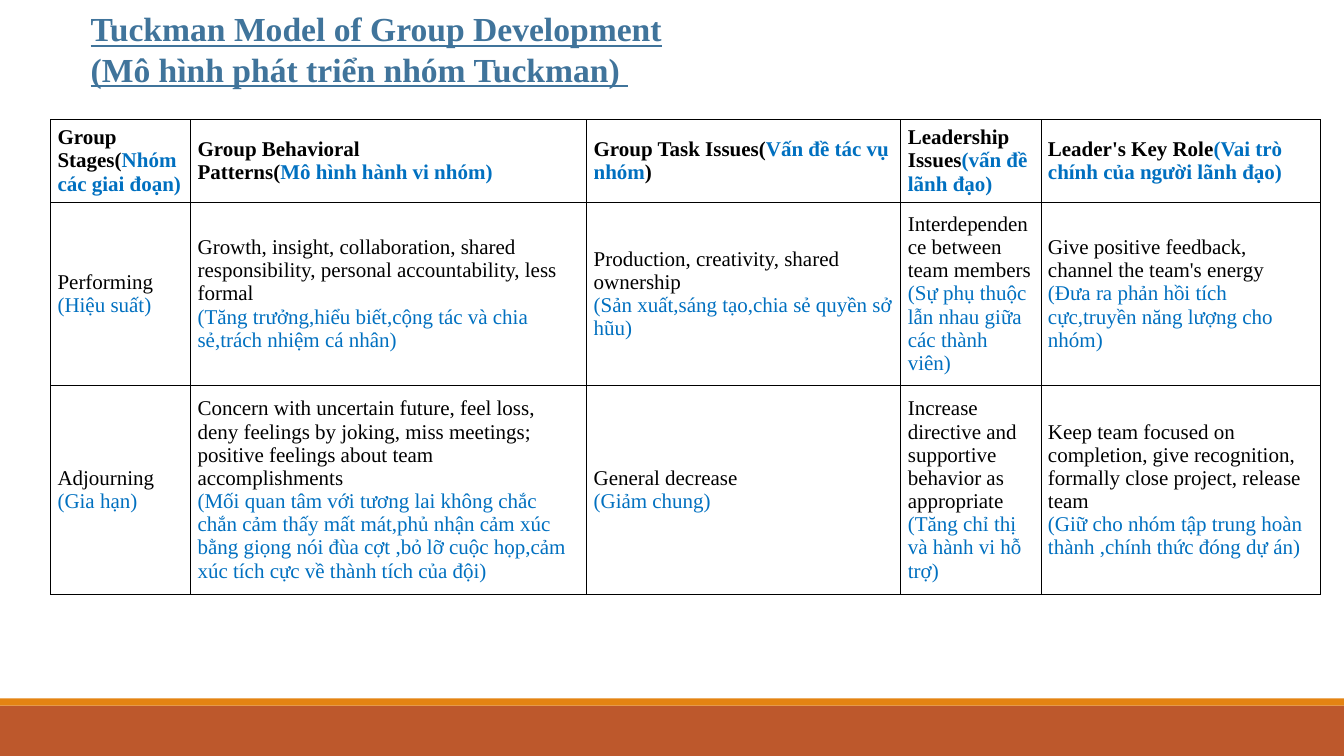
from dataclasses import dataclass

from lxml import etree
from pptx import Presentation
from pptx.dml.color import RGBColor
from pptx.enum.shapes import MSO_SHAPE
from pptx.enum.text import MSO_ANCHOR, MSO_AUTO_SIZE, PP_ALIGN
from pptx.oxml.ns import qn
from pptx.util import Cm, Pt

RECT = MSO_SHAPE.RECTANGLE
TOP, MIDDLE = MSO_ANCHOR.TOP, MSO_ANCHOR.MIDDLE
LEFT = PP_ALIGN.LEFT
FIXED = MSO_AUTO_SIZE.NONE
FACE = "Times New Roman"
BLACK, BLUE, TITLE = "000000", "0070C0", "40749B"
WIDTH, HEIGHT = 33.87, 19.05


@dataclass
class Bar:
    top: float
    height: float
    fill: str


@dataclass
class Entry:
    text: str
    local: str
    tail: str = ""
    inline: bool = False


BARS = [Bar(17.78, 1.27, "BD582C"), Bar(17.6, 0.18, "E48312")]
HEADING = ["Tuckman Model of Group Development",
           "(Mô hình phát triển nhóm Tuckman) "]
COLS = [3.53, 9.98, 7.92, 3.53, 7.04]
ROWS = [2.09, 4.61, 5.27]
GRID = [
    [
        Entry("Group\nStages(", "Nhóm các giai đoạn)", inline=True),
        Entry("Group Behavioral\nPatterns(", "Mô hình hành vi nhóm)", inline=True),
        Entry("Group Task Issues(", "Vấn đề tác vụ nhóm", ")", inline=True),
        Entry("Leadership\nIssues", "(vấn đề lãnh đạo)", inline=True),
        Entry("Leader's Key Role", "(Vai trò chính của người lãnh đạo)", inline=True),
    ],
    [
        Entry("Performing ", "(Hiệu suất)", inline=True),
        Entry("Growth, insight, collaboration, shared\n"
              "responsibility, personal accountability, less formal",
              "(Tăng trưởng,hiểu biết,cộng tác và chia sẻ,trách nhiệm cá nhân)"),
        Entry("Production, creativity, shared ownership",
              "(Sản xuất,sáng tạo,chia sẻ quyền sở hũu)"),
        Entry("Interdependence between team members",
              "(Sự phụ thuộc lẫn nhau giữa các thành viên)"),
        Entry("Give positive feedback, channel the team's energy",
              "(Đưa ra phản hồi tích cực,truyền năng lượng cho nhóm)"),
    ],
    [
        Entry("Adjourning", "(Gia hạn)"),
        Entry("Concern with uncertain future, feel loss, deny feelings by joking, "
              "miss meetings; positive feelings about team\naccomplishments",
              "(Mối quan tâm với tương lai không chắc chắn cảm thấy mất mát,"
              "phủ nhận cảm xúc bằng giọng nói đùa cợt ,bỏ lỡ cuộc họp,"
              "cảm xúc tích cực về thành tích của đội)"),
        Entry("General decrease", "(Giảm chung)"),
        Entry("Increase directive and supportive behavior as\nappropriate",
              "(Tăng chỉ thị và hành vi hỗ trợ)"),
        Entry("Keep team focused on completion, give recognition, "
              "formally close project, release\nteam",
              "(Giữ cho nhóm tập trung hoàn thành ,chính thức đóng dự án)"),
    ],
]


def paint(target, color: str) -> None:
    target.rgb = RGBColor.from_string(color)


def style(para, size: float, bold: bool) -> None:
    para.alignment = LEFT
    font = para.font
    font.name, font.size, font.bold = FACE, Pt(size), bold


def write(para, text: str, color: str) -> None:
    for i, line in enumerate(text.split("\n")):
        if i:
            para.add_line_break()
        run = para.add_run()
        run.text = line
        paint(run.font.color, color)


def border(cell) -> None:
    props = cell._tc.get_or_add_tcPr()
    for side in ("lnL", "lnR", "lnT", "lnB"):
        line = etree.SubElement(props, qn(f"a:{side}"), w=str(Pt(0.5)))
        fill = etree.SubElement(line, qn("a:solidFill"))
        etree.SubElement(fill, qn("a:srgbClr"), val=BLACK)


def fill_cell(cell, entry: Entry, bold: bool) -> None:
    cell.vertical_anchor = MIDDLE
    cell.margin_left = cell.margin_right = Cm(0.18)
    cell.margin_top = cell.margin_bottom = Cm(0.1)
    border(cell)
    cell.fill.background()
    frame = cell.text_frame
    first = frame.paragraphs[0]
    last = first if entry.inline else frame.add_paragraph()
    write(first, entry.text, BLACK)
    write(last, entry.local, BLUE)
    if entry.tail:
        write(last, entry.tail, BLACK)
    for para in frame.paragraphs:
        style(para, 15, bold)


def add_bar(slide, bar: Bar) -> None:
    shape = slide.shapes.add_shape(RECT, 0, Cm(bar.top), Cm(WIDTH), Cm(bar.height))
    shape.shadow.inherit = False
    shape.fill.solid()
    paint(shape.fill.fore_color, bar.fill)
    shape.line.fill.background()


def add_title(slide) -> None:
    title = slide.shapes.title
    title.left, title.top = Cm(2.03), Cm(0.08)
    title.width, title.height = Cm(18.16), Cm(3.33)
    frame = title.text_frame
    frame.word_wrap = True
    frame.auto_size = FIXED
    frame.vertical_anchor = TOP
    frame.text = "\n".join(HEADING)
    for para in frame.paragraphs:
        style(para, 24, True)
        para.font.underline = True
        paint(para.font.color, TITLE)


def add_grid(slide) -> None:
    table = slide.shapes.add_table(len(ROWS), len(COLS), Cm(1.27), Cm(3.01),
                                   Cm(sum(COLS)), Cm(sum(ROWS))).table
    table.first_row = table.horz_banding = False
    for col, width in zip(table.columns, COLS):
        col.width = Cm(width)
    for r, (row, height) in enumerate(zip(table.rows, ROWS)):
        row.height = Cm(height)
        for cell, entry in zip(row.cells, GRID[r]):
            fill_cell(cell, entry, r == 0)


def main() -> None:
    deck = Presentation()
    deck.slide_width, deck.slide_height = Cm(WIDTH), Cm(HEIGHT)
    slide = deck.slides.add_slide(deck.slide_layouts[5])
    # Footer bars
    for bar in BARS:
        add_bar(slide, bar)
    # Title and table
    add_title(slide)
    add_grid(slide)
    deck.save("out.pptx")


if __name__ == "__main__":
    main()
